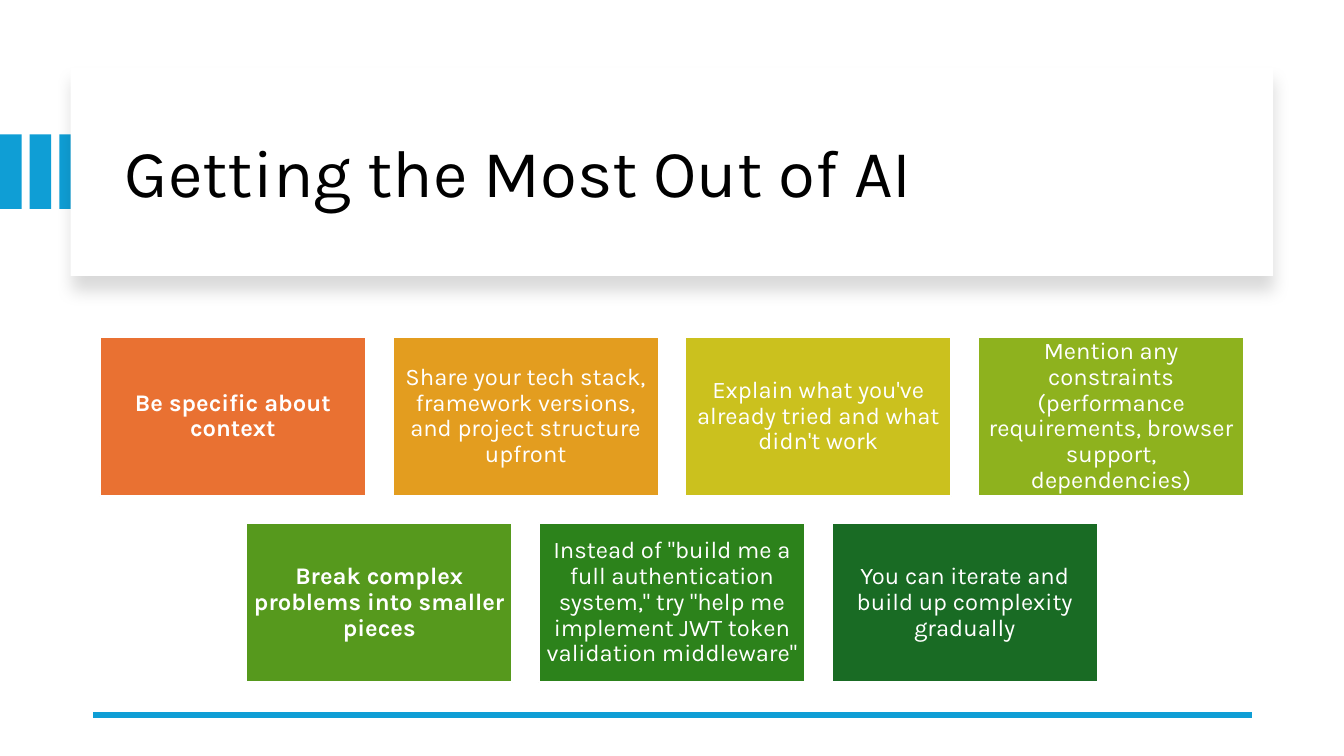
from lxml import etree
from pptx import Presentation
from pptx.dml.color import RGBColor
from pptx.enum.shapes import MSO_CONNECTOR, MSO_SHAPE
from pptx.enum.text import MSO_ANCHOR, PP_ALIGN
from pptx.oxml import parse_xml
from pptx.oxml.ns import qn
from pptx.util import Pt

RECTANGLE = MSO_SHAPE.RECTANGLE
STRAIGHT = MSO_CONNECTOR.STRAIGHT
MIDDLE = MSO_ANCHOR.MIDDLE
CENTER = PP_ALIGN.CENTER

FONT = "Karla"
COLORS = {
    "accent": "0F9ED5",
    "white": "FFFFFF",
    "black": "000000",
    "orange": "E97132",
    "amber": "E39D1F",
    "yellow": "CBC11E",
    "lime": "8EB21E",
    "leaf": "56991D",
    "green": "2C821B",
    "forest": "196B24",
}
CARD_ROWS = [
    [
        ("orange", True, "Be specific about context"),
        ("amber", False, "Share your tech stack, framework versions, and project structure upfront"),
        ("yellow", False, "Explain what you've already tried and what didn't work"),
        ("lime", False, "Mention any constraints (performance requirements, browser support, dependencies)"),
    ],
    [
        ("leaf", True, "Break complex problems into smaller pieces"),
        ("green", False, 'Instead of "build me a full authentication system," '
                         'try "help me implement JWT token validation middleware"'),
        ("forest", False, "You can iterate and build up complexity gradually"),
    ],
]
CARD_WIDTH, CARD_HEIGHT, CARD_GAP = 190, 114, 19.1
CARDS_TOP, SLIDE_CENTER = 240.4, 480


def add_block(page, left, top, width, height, color):
    block = page.shapes.add_shape(RECTANGLE, Pt(left), Pt(top), Pt(width), Pt(height))
    block.shadow.inherit = False
    block.fill.solid()
    block.fill.fore_color.rgb = RGBColor.from_string(COLORS[color])
    block.line.fill.background()
    return block


def write_text(box, text, size, color, bold=False):
    frame = box.text_frame
    frame.word_wrap = True
    frame.vertical_anchor = MIDDLE
    frame.text = text
    para = frame.paragraphs[0]
    para.line_spacing = 0.9
    font = para.runs[0].font
    font.name = FONT
    font.size = Pt(size)
    font.bold = bold
    font.color.rgb = RGBColor.from_string(COLORS[color])
    return para


deck = Presentation()
deck.slide_width, deck.slide_height = Pt(960), Pt(540)
page = deck.slides.add_slide(deck.slide_layouts[6])

for index in range(3):
    add_block(page, index * 21.2, 96, 15.4, 53.2, "accent")

panel = add_block(page, 50.4, 48.2, 859, 149, "white")
effects = panel.element.spPr.find(qn("a:effectLst"))
effects.append(parse_xml(
    '<a:outerShdw xmlns:a="http://schemas.openxmlformats.org/drawingml/2006/main" '
    'blurRad="139700" dist="127000" dir="5400000" algn="t" rotWithShape="0">'
    f'<a:srgbClr val="{COLORS["black"]}"><a:alpha val="15000"/></a:srgbClr></a:outerShdw>'
))

title = page.shapes.add_textbox(Pt(82.1), Pt(64.1), Pt(801.4), Pt(122.4))
write_text(title, "Getting the Most Out of AI", 48, "black")

footer = page.shapes.add_connector(STRAIGHT, Pt(894.2), Pt(510.5), Pt(66.2), Pt(510.5))
footer.line.color.rgb = RGBColor.from_string(COLORS["accent"])
footer.line.width = Pt(4.5)
etree.SubElement(footer.element.spPr, qn("a:effectLst"))

for row, cards in enumerate(CARD_ROWS):
    row_width = len(cards) * (CARD_WIDTH + CARD_GAP) - CARD_GAP
    row_left = SLIDE_CENTER - row_width / 2
    row_top = CARDS_TOP + row * (CARD_HEIGHT + CARD_GAP)
    for column, (color, bold, text) in enumerate(cards):
        left = row_left + column * (CARD_WIDTH + CARD_GAP)
        card = add_block(page, left, row_top, CARD_WIDTH, CARD_HEIGHT, color)
        card.line.color.rgb = RGBColor.from_string(COLORS["white"])
        card.line.width = Pt(1.5)
        frame = card.text_frame
        frame.margin_left = frame.margin_right = Pt(5)
        frame.margin_top = frame.margin_bottom = Pt(5)
        para = write_text(card, text, 17, "white", bold)
        para.alignment = CENTER

deck.save("out.pptx")
